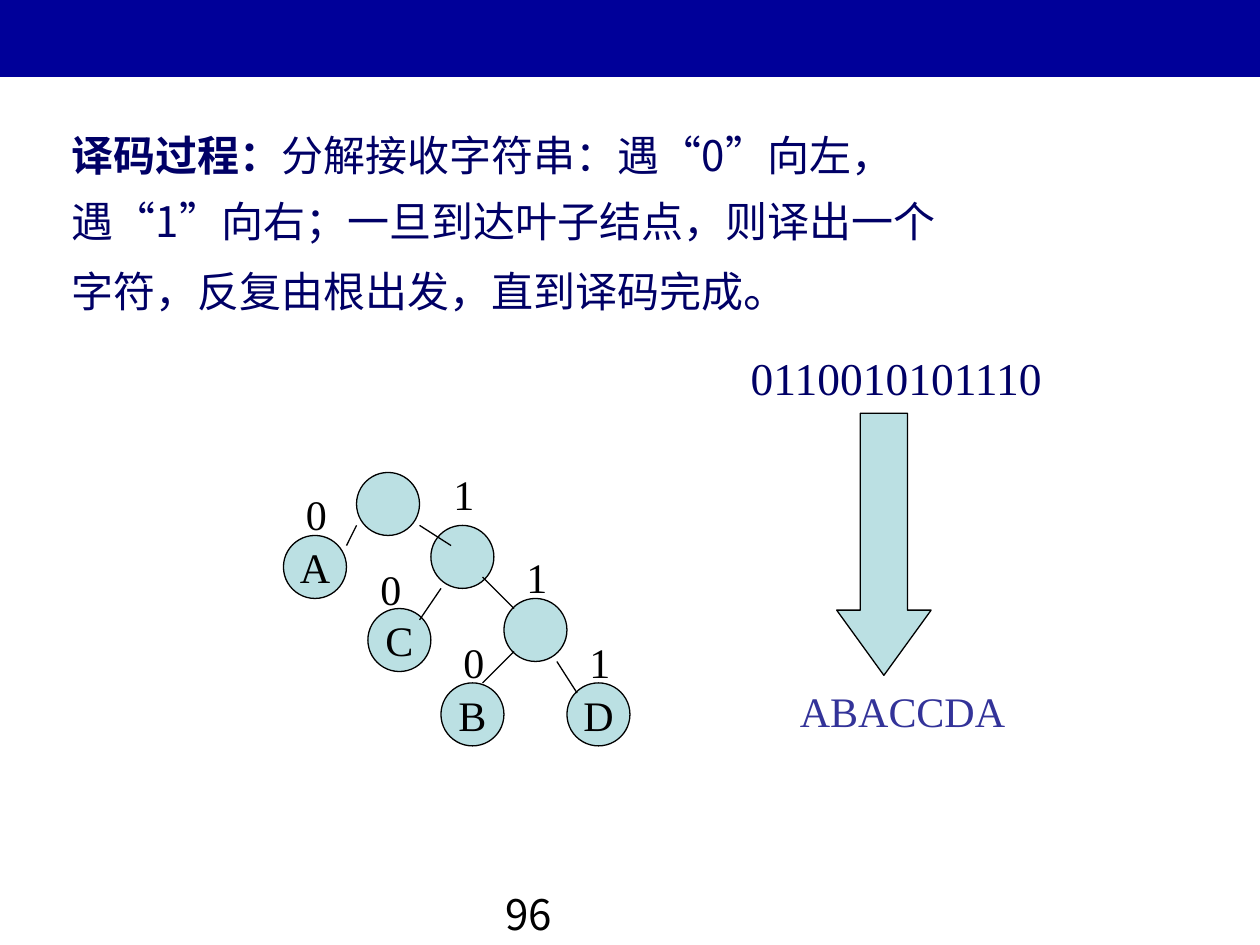
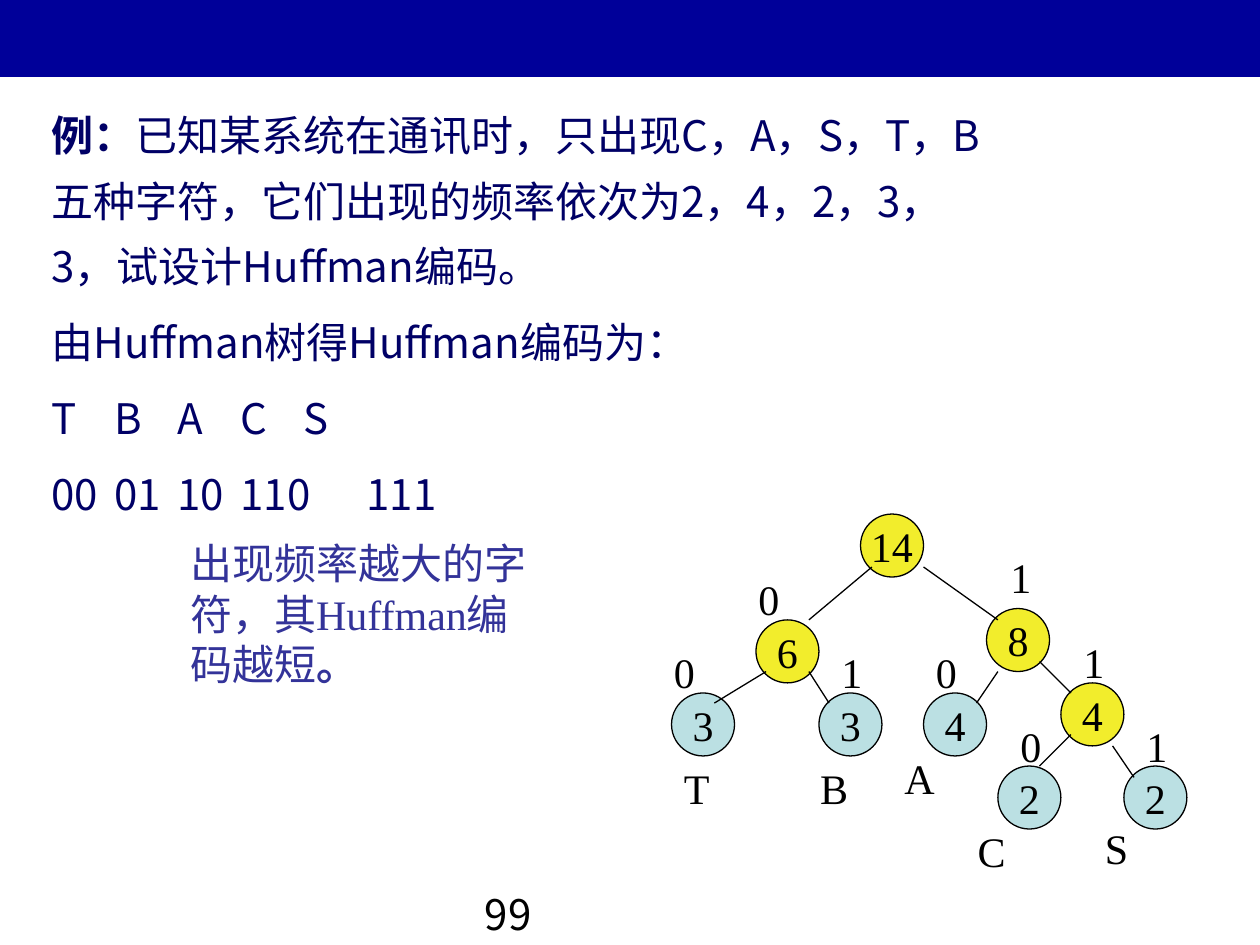
"""Build two slides on decoding and designing Huffman codes."""
from dataclasses import dataclass

from lxml.etree import SubElement as Sub
from pptx import Presentation
from pptx.dml.color import RGBColor as RGB
from pptx.enum.shapes import MSO_CONNECTOR as LINK, MSO_SHAPE as SHAPE
from pptx.enum.text import MSO_ANCHOR as ANCHOR, MSO_AUTO_SIZE as FIT, PP_ALIGN as ALIGN
from pptx.oxml.ns import qn
from pptx.util import Inches, Pt


@dataclass(frozen=True)
class Theme:
    band: RGB = RGB.from_string("000099")
    navy: RGB = RGB.from_string("000066")
    note: RGB = RGB.from_string("333399")
    ink: RGB = RGB.from_string("000000")
    leaf: RGB = RGB.from_string("BBE0E3")
    inner: RGB = RGB.from_string("F2ED2C")
    sans: str = "Noto Sans CJK SC"
    serif: str = "Times New Roman"
    size: int = 24
    large: int = 26
    line: float = 0.75


theme = Theme()


def write(frame, rows, color=theme.ink, font=theme.serif, size=theme.size,
          align=ALIGN.LEFT, lead=1.0, gap=0, wrap=True):
    """Fill a frame with rows; a row is a text, or runs and tab stops."""
    frame.word_wrap, frame.auto_size = wrap, FIT.NONE
    rows = [([(rows, {})], [])] if isinstance(rows, str) else rows
    for i, (runs, stops) in enumerate(rows):
        para = frame.add_paragraph() if i else frame.paragraphs[0]
        para.alignment, para.line_spacing = align, lead
        para.space_before = Pt(gap if i else 0)
        props = para._p.get_or_add_pPr()
        props.set("marL", "0")
        props.set("indent", "0")
        Sub(props, qn("a:buNone"))
        if stops:
            tabs = Sub(props, qn("a:tabLst"))
            for stop in stops:
                Sub(tabs, qn("a:tab"), pos=str(Inches(stop)), algn="l")
        for text, extra in runs:
            run = para.add_run()
            run.text = text
            run.font.name = extra.get("font", font)
            run.font.size = Pt(extra.get("size", size))
            run.font.bold = extra.get("bold", False)
            run.font.color.rgb = color
            Sub(run._r.get_or_add_rPr(), qn("a:ea"), typeface=theme.sans)


def label(slide, rows, x, y, w, h=0.5, **form):
    """Add a text box."""
    box = slide.shapes.add_textbox(Inches(x), Inches(y), Inches(w), Inches(h))
    write(box.text_frame, rows, **form)


deck = Presentation()
deck.slide_width, deck.slide_height = Inches(10), Inches(7.5)
layout = deck.slide_layouts[1]

bold = {"bold": True}
pages = [
    dict(
        page="96", left=3.91, body=(0.47, 0.86, 7.33, 2.27),
        rows=[([("译码过程：", bold),
                ("分解接收字符串：遇“0”向左，遇“1”向右；一旦到达叶子结点，"
                 "则译出一个字符，反复由根出发，直到译码完成", {}),
                ("。", {"font": theme.serif, "size": theme.large})], [])],
        inner=theme.leaf,
        nodes=[("", 2.83, 3.75, True), ("", 3.42, 4.17, True), ("", 4, 4.75, True),
               ("A", 2.25, 4.25, False), ("C", 2.92, 4.83, False),
               ("B", 3.5, 5.42, False), ("D", 4.5, 5.42, False)],
        edges=[(2.83, 4.17, 2.75, 4.33), (3.33, 4.17, 3.58, 4.33),
               (3.5, 4.67, 3.33, 4.92), (4.08, 5.17, 3.83, 5.42),
               (4.42, 5.25, 4.58, 5.5), (3.83, 4.58, 4.08, 4.83)],
        bits={"0": [(2.33, 3.83), (2.92, 4.42), (3.58, 5)],
              "1": [(3.5, 3.67), (4.08, 4.33), (4.58, 5)]},
        names=[],
    ),
    dict(
        page="99", left=3.75, body=(0.31, 0.7, 7.58, 3.47),
        rows=[([("例：", bold),
                ("已知某系统在通讯时，只出现C，A，S，T，B五种字符，"
                 "它们出现的频率依次为2，4，2，3，3，试设计Huffman编码。", {})], []),
              ([("由Huffman树得Huffman编码为：", {})], []),
              ([("T\tB\tA\tC\tS", {})], [0.62, 1.23, 1.79, 2.6]),
              ([("00\t01\t10\t110\t111", {})], [0.65, 1.24, 1.98, 2.75])],
        inner=theme.inner,
        nodes=[("14", 6.83, 4.08, True), ("8", 7.83, 4.83, True),
               ("4", 8.42, 5.42, True), ("6", 6, 4.92, True),
               ("4", 7.33, 5.5, False), ("2", 7.92, 6.08, False),
               ("2", 8.92, 6.08, False), ("3", 5.33, 5.5, False),
               ("3", 6.5, 5.5, False)],
        edges=[(7.33, 4.5, 7.92, 4.92), (7.92, 5.33, 7.75, 5.58),
               (8.5, 5.83, 8.25, 6.08), (8.83, 5.92, 9, 6.17),
               (8.25, 5.25, 8.5, 5.5), (6.92, 4.5, 6.42, 4.92),
               (6.08, 5.33, 5.67, 5.58), (6.42, 5.33, 6.58, 5.58)],
        bits={"0": [(5.92, 4.5), (7.33, 5.08), (8, 5.67), (5.25, 5.08)],
              "1": [(7.92, 4.33), (8.5, 5), (9, 5.67), (6.58, 5.08)]},
        names=[("T", 5.33, 6), ("B", 6.41, 6), ("A", 7.08, 5.92),
               ("C", 7.66, 6.5), ("S", 8.67, 6.48)],
    ),
]

slides = []
for data in pages:
    slide = deck.slides.add_slide(layout)
    slides.append(slide)
    title = slide.shapes.title.element
    title.getparent().remove(title)
    body = slide.placeholders[1]
    body.left, body.top, body.width, body.height = map(Inches, data["body"])
    body.text_frame.vertical_anchor = ANCHOR.TOP
    write(body.text_frame, data["rows"], color=theme.navy, font=theme.sans,
          lead=1.3, gap=6)
    label(slide, data["page"], data["left"], 7, 2.08, font=theme.sans)

    for text, x, y, inner in data["nodes"]:
        node = slide.shapes.add_shape(SHAPE.OVAL, Inches(x), Inches(y),
                                      Inches(0.5), Inches(0.5))
        node.shadow.inherit = False
        node.fill.solid()
        node.fill.fore_color.rgb = data["inner"] if inner else theme.leaf
        node.line.color.rgb, node.line.width = theme.ink, Pt(theme.line)
        if text:
            node.text_frame.vertical_anchor = ANCHOR.MIDDLE
            write(node.text_frame, text, align=ALIGN.CENTER, wrap=False)

    for ends in data["edges"]:
        edge = slide.shapes.add_connector(LINK.STRAIGHT, *map(Inches, ends))
        edge.line.color.rgb, edge.line.width = theme.ink, Pt(theme.line)
        Sub(edge.element.spPr, qn("a:effectLst"))

    for bit, spots in data["bits"].items():
        for x, y in spots:
            label(slide, bit, x, y, 0.58)
    for name, x, y in data["names"]:
        label(slide, name, x, y, 0.92)

decode, design = slides

band = decode.shapes.add_shape(SHAPE.RECTANGLE, Inches(-0.01), 0,
                               Inches(10.01), Inches(0.61))
band.shadow.inherit = False
band.fill.solid()
band.fill.fore_color.rgb = theme.band
band.line.fill.background()
layout.element.cSld.spTree.insert(2, band.element)

arrow = decode.shapes.add_shape(SHAPE.DOWN_ARROW, Inches(6.64), Inches(3.28),
                                Inches(0.75), Inches(2.08))
arrow.adjustments[0], arrow.adjustments[1] = 0.5, 0.69
arrow.shadow.inherit = False
arrow.fill.solid()
arrow.fill.fore_color.rgb = theme.leaf
arrow.line.color.rgb, arrow.line.width = theme.ink, Pt(theme.line)
label(decode, "0110010101110", 5.86, 2.73, 2.75, 0.54, color=theme.navy,
      size=theme.large)
label(decode, "ABACCDA", 6.25, 5.39, 2.17, color=theme.note)

label(design, [([("出现频率越大的字符，其Huffman编码越短", {}), ("。", bold)], [])],
      1.41, 4.22, 2.92, 1.3, color=theme.note)

deck.save("out.pptx")
